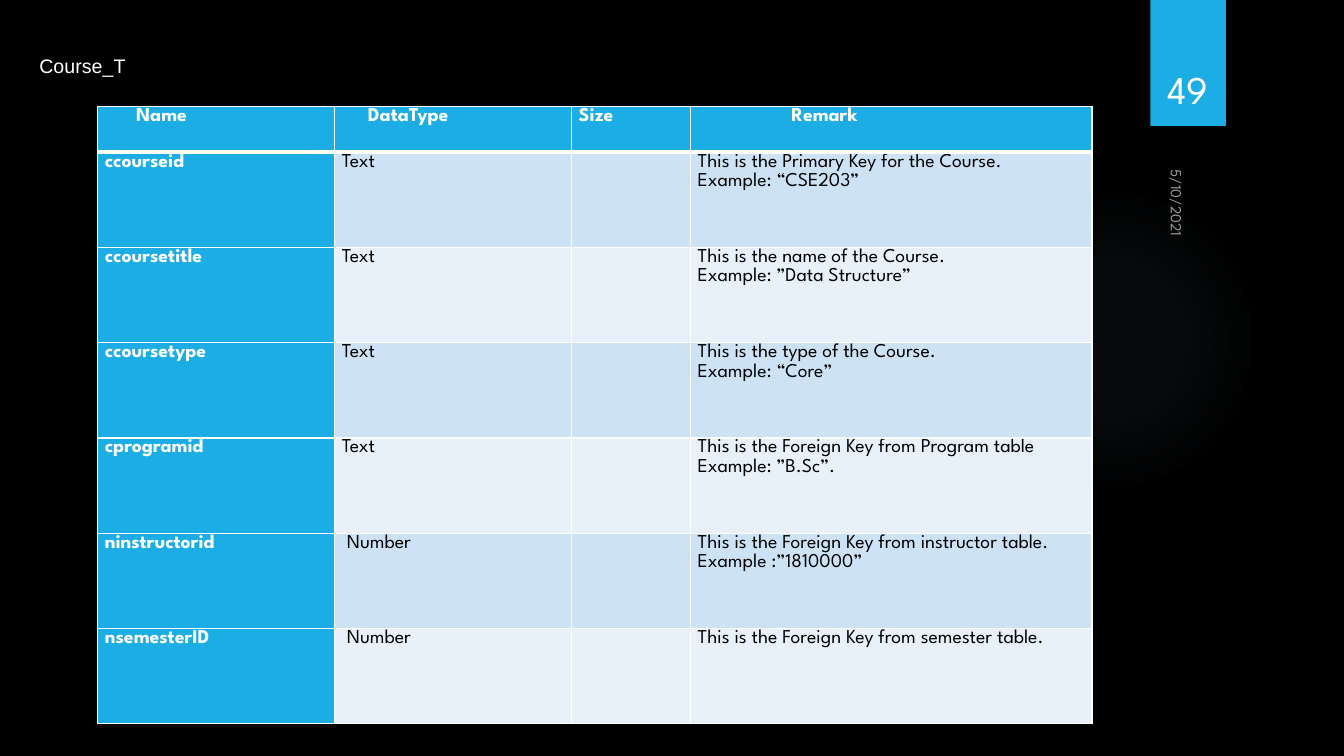
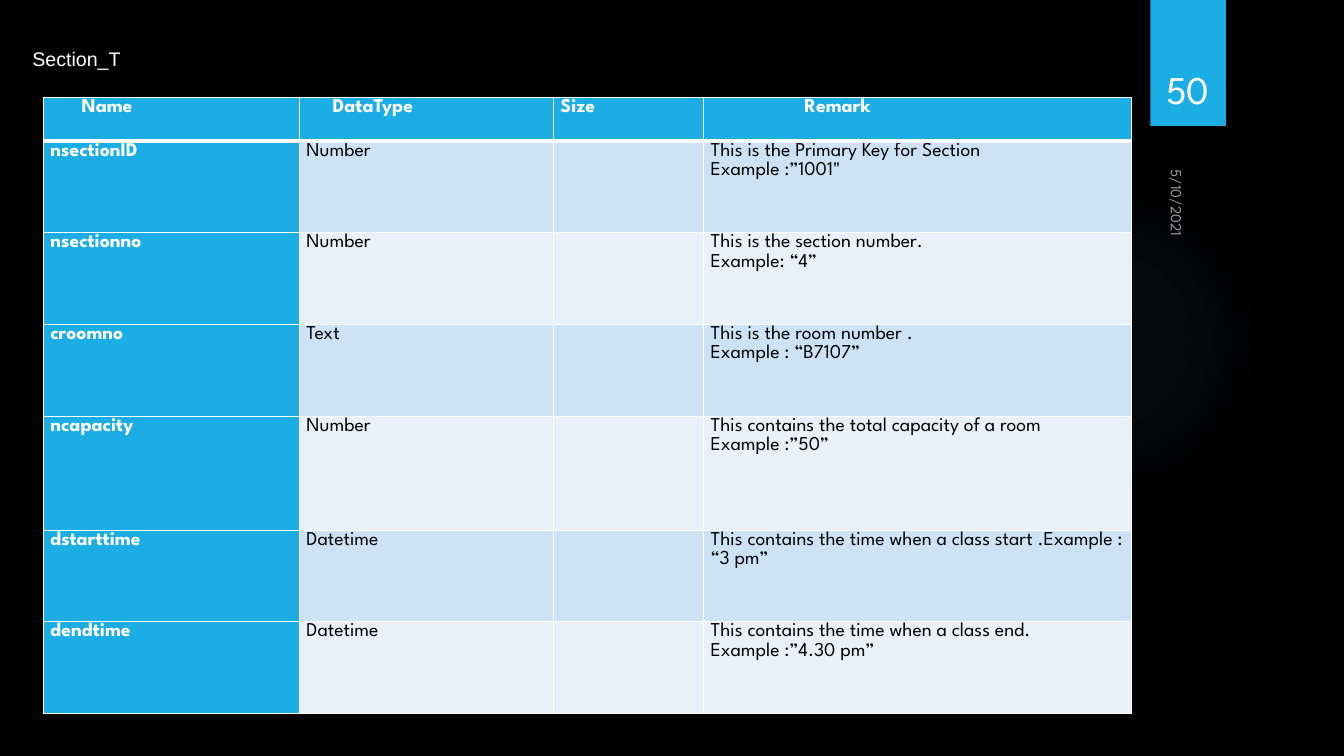
"""Builds two data dictionary slides, one table each."""
from lxml import etree
from pptx import Presentation
from pptx.dml.color import RGBColor
from pptx.enum import shapes, text
from pptx.oxml.ns import qn
from pptx.util import Inches, Pt

BLACK, WHITE, ACCENT, GLOW = "000000", "FFFFFF", "1CADE4", "70A1C0"
BANDS = ("CDE3F5", "E8F1FA")
BODY, TITLE = "League Spartan", "Arial"
HEADERS = [("Name", 0.31), ("DataType", 0.26), ("Size", 0), ("Remark", 0.93)]


def rgb(color):
    return RGBColor.from_string(color)


def sub(parent, tag, **attrs):
    return etree.SubElement(parent, qn(tag), {k: str(v) for k, v in attrs.items()})


class Deck:
    def __init__(self):
        self.prs = Presentation()
        self.prs.slide_width, self.prs.slide_height = Inches(13.33), Inches(7.5)
        fill = self.prs.slide_master.background.fill
        fill.solid()
        fill.fore_color.rgb = rgb(BLACK)

    def add_slide(self, title, left, top, number):
        self.s = self.prs.slides.add_slide(self.prs.slide_layouts[5])
        self.title(title, left, top)
        self.glow()
        self.shape(shapes.MSO_SHAPE.RECTANGLE, 11.41, 0, 0.75, 1.25, ACCENT)
        self.label("5/10/2021", 11.11, 1.96, 1.08, 0.33, 11, rotation=90, alpha=60)
        self.label(number, 11.32, 0.32, 0.92, 0.84, 28,
                   align=text.PP_ALIGN.CENTER, anchor=text.MSO_ANCHOR.BOTTOM)

    def run(self, p, words, size, font=BODY, color=WHITE, bold=False):
        r = p.add_run()
        r.text = words
        r.font.size, r.font.name, r.font.bold = Pt(size), font, bold
        r.font.color.rgb = rgb(color)
        return r

    def title(self, words, left, top):
        sp = self.s.shapes.title
        sp.left, sp.top = Inches(left), Inches(top)
        sp.width, sp.height = Inches(1.08), Inches(0.34)
        tf = sp.text_frame
        tf.word_wrap = False
        tf.auto_size = text.MSO_AUTO_SIZE.SHAPE_TO_FIT_TEXT
        tf.vertical_anchor = text.MSO_ANCHOR.MIDDLE
        p = tf.paragraphs[0]
        p.alignment = text.PP_ALIGN.LEFT
        self.run(p, words, 14, TITLE)

    def shape(self, kind, x, y, w, h, color):
        sp = self.s.shapes.add_shape(kind, Inches(x), Inches(y), Inches(w), Inches(h))
        sp.shadow.inherit = False
        sp.fill.solid()
        sp.fill.fore_color.rgb = rgb(color)
        sp.line.fill.background()
        return sp

    def glow(self):
        sp = self.shape(shapes.MSO_SHAPE.OVAL, 9.41, 1.83, 3.08, 3.08, GLOW)
        solid = sp.element.spPr.find(qn("a:solidFill"))
        grad = etree.Element(qn("a:gradFill"), rotWithShape="1")
        stops = sub(grad, "a:gsLst")
        for pos, alpha in ((0, 7), (36, 6), (69, 0)):
            color = sub(sub(stops, "a:gs", pos=pos * 1000), "a:srgbClr", val=GLOW)
            sub(color, "a:alpha", val=alpha * 1000)
        sub(sub(grad, "a:path", path="circle"), "a:fillToRect",
            l=50000, t=50000, r=50000, b=50000)
        solid.getparent().replace(solid, grad)

    def label(self, words, x, y, w, h, size, rotation=0, alpha=100,
              align=text.PP_ALIGN.LEFT, anchor=text.MSO_ANCHOR.TOP):
        sp = self.s.shapes.add_textbox(Inches(x), Inches(y), Inches(w), Inches(h))
        sp.rotation = rotation
        tf = sp.text_frame
        tf.word_wrap, tf.vertical_anchor = True, anchor
        p = tf.paragraphs[0]
        p.alignment = align
        self.run(p, words, size)
        if alpha < 100:
            color = next(p._p.iter(qn("a:srgbClr")))
            sub(color, "a:alpha", val=alpha * 1000)

    def cell(self, cell, words, fill, color, bold, indent, top, bottom):
        cell.margin_left = cell.margin_right = Inches(0.07)
        cell.margin_top = cell.margin_bottom = 0
        tcPr = cell._tc.get_or_add_tcPr()
        for side, width in (("L", 1), ("R", 1), ("T", top), ("B", bottom)):
            ln = sub(tcPr, "a:ln" + side, w=Pt(width))
            sub(sub(ln, "a:solidFill"), "a:srgbClr", val=WHITE)
        cell.fill.solid()
        cell.fill.fore_color.rgb = rgb(fill)
        tf = cell.text_frame
        for i, line in enumerate(words.split("\n") if words else []):
            p = tf.add_paragraph() if i else tf.paragraphs[0]
            p.line_spacing = 1.07
            if indent:
                p._p.get_or_add_pPr().set("marL", str(Inches(indent)))
            self.run(p, line, 14, color=color, bold=bold)

    def table(self, x, y, widths, heights, fields, number_indent=0):
        frame = self.s.shapes.add_table(
            len(heights), len(widths), Inches(x), Inches(y),
            Inches(sum(widths)), Inches(sum(heights)))
        table = frame.table
        for column, width in zip(table.columns, widths):
            column.width = Inches(width)
        for row, height in zip(table.rows, heights):
            row.height = Inches(height)
        for c, (words, indent) in enumerate(HEADERS):
            self.cell(table.cell(0, c), words, ACCENT, WHITE, True, indent, 1, 3)
        for r, (name, kind, remark) in enumerate(fields, 1):
            for c, words in enumerate((name, kind, "", remark)):
                first = c == 0
                self.cell(table.cell(r, c), words,
                          ACCENT if first else BANDS[(r - 1) % 2],
                          WHITE if first else BLACK, first,
                          number_indent if words == "Number" else 0,
                          3 if r == 1 else 1, 1)


def main():
    deck = Deck()
    deck.add_slide("Course_T", 0.29, 0.48, "49")
    deck.table(0.97, 1.06, [2.35, 2.35, 1.18, 3.98], [0.45] + [0.945] * 6, [
        ("ccourseid", "Text", "This is the Primary Key for the Course.\nExample: “CSE203”"),
        ("ccoursetitle", "Text", "This is the name of the Course.\nExample: ”Data Structure”"),
        ("ccoursetype", "Text", "This is the type of the Course.\nExample: “Core”"),
        ("cprogramid", "Text", "This is the Foreign Key from Program table\nExample: ”B.Sc”."),
        ("ninstructorid", "Number",
         "This is the Foreign Key from instructor table.\nExample :”1810000”"),
        ("nsemesterID", "Number", "This is the Foreign Key from semester table."),
    ], number_indent=0.05)

    deck.add_slide("Section_T", 0.22, 0.41, "50")
    deck.table(0.43, 0.97, [2.54, 2.52, 1.49, 4.24],
               [0.43] + [0.91] * 3 + [1.13] + [0.91] * 2, [
        ("nsectionID", "Number", "This is the Primary Key for Section\nExample :”1001\""),
        ("nsectionno", "Number", "This is the section number.\nExample: “4”"),
        ("croomno", "Text", "This is the room number .\nExample : “B7107”"),
        ("ncapacity", "Number", "This contains the total capacity of a room\nExample :”50”"),
        ("dstarttime", "Datetime",
         "This contains the time when a class start .Example : “3 pm”"),
        ("dendtime", "Datetime", "This contains the time when a class end.\nExample :”4.30 pm”"),
    ])
    deck.prs.save("out.pptx")


if __name__ == "__main__":
    main()
